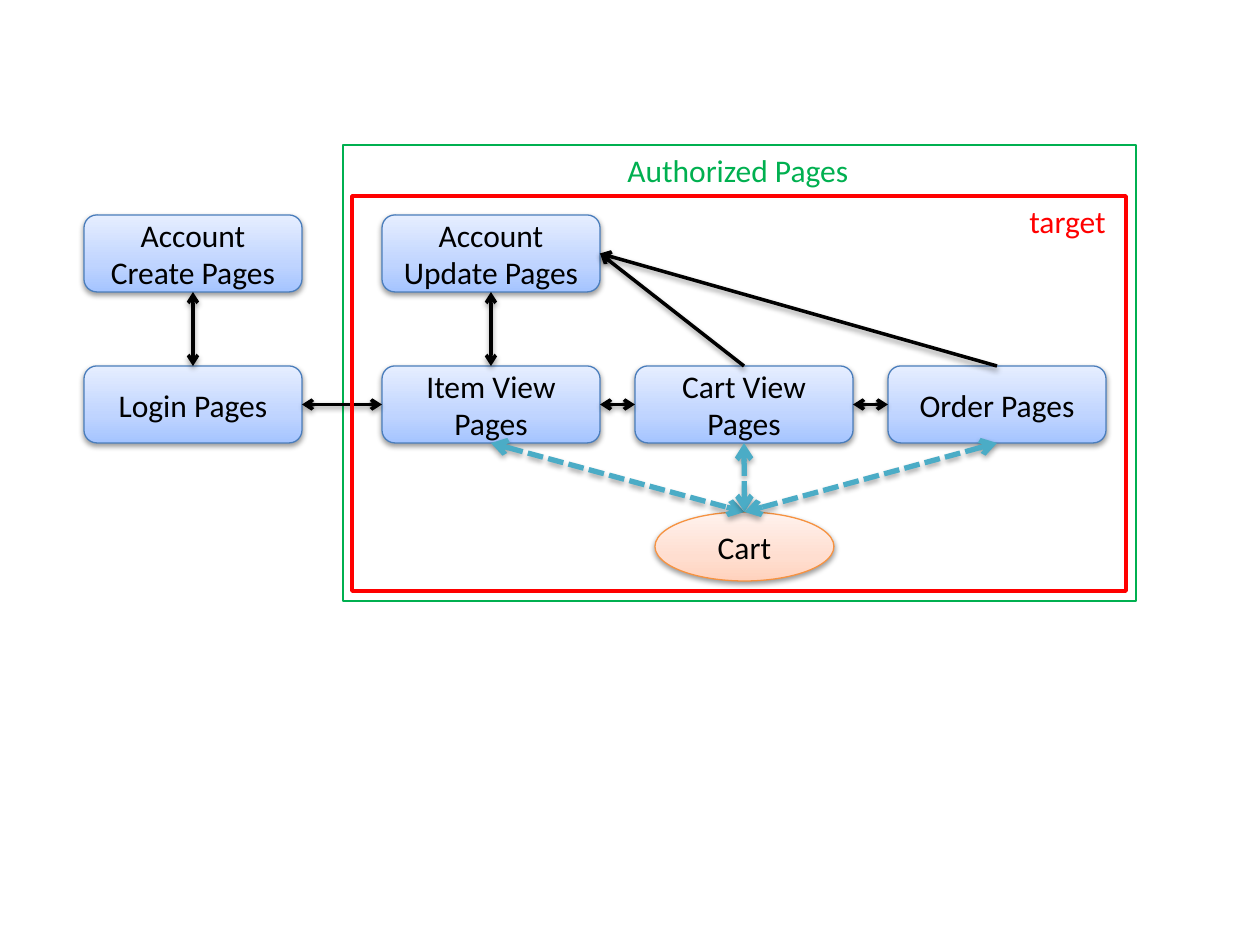
from copy import deepcopy

from pptx import Presentation
from pptx.dml.color import RGBColor
from pptx.enum.dml import MSO_LINE
from pptx.enum.shapes import MSO_CONNECTOR, MSO_SHAPE
from pptx.enum.text import MSO_ANCHOR, MSO_AUTO_SIZE, PP_ALIGN
from pptx.oxml.ns import qn
from pptx.util import Emu, Pt
from lxml.etree import SubElement

PIXELS_PER_INCH = 126
FONT = "Calibri"
BLACK = RGBColor(0x00, 0x00, 0x00)
GREEN = RGBColor(0x00, 0xB0, 0x50)
RED = RGBColor(0xFF, 0x00, 0x00)
TEAL = RGBColor(0x4B, 0xAC, 0xC6)
BLUE_LINE = RGBColor(0x4B, 0x7E, 0xBC)
BLUE_STOPS = [RGBColor(0xA4, 0xC4, 0xFF), RGBColor(0xBF, 0xD4, 0xFF), RGBColor(0xE6, 0xEE, 0xFF)]
ORANGE_LINE = RGBColor(0xF6, 0x92, 0x40)
ORANGE_STOPS = [RGBColor(0xFF, 0xD2, 0xBD), RGBColor(0xFF, 0xDE, 0xD0), RGBColor(0xFF, 0xF2, 0xED)]
STOP_POSITIONS = [0, 0.35, 1]

LOGIN_LEFT, ITEM_LEFT, COLUMN_STEP = 84, 382, 253
TOP_ROW, BOTTOM_ROW = 215, 366
PAGE_WIDTH, PAGE_HEIGHT = 218, 77
TOP, LEFT, BOTTOM, RIGHT = range(4)


def px(*lengths):
    """Turn pixel lengths into a list of EMU."""
    return [Emu(round(length * 914400 / PIXELS_PER_INCH)) for length in lengths]


def add_shadow(element, opacity, distance):
    """Give a shape or connector element a soft shadow below it."""
    properties = element.spPr
    effects = properties.find(qn("a:effectLst"))
    if effects is None:
        effects = SubElement(properties, qn("a:effectLst"))
    shadow = SubElement(effects, qn("a:outerShdw"), blurRad="40000", dist=str(distance),
                        dir="5400000", rotWithShape="0")
    color = SubElement(shadow, qn("a:srgbClr"), val=str(BLACK))
    SubElement(color, qn("a:alpha"), val=str(opacity * 1000))


def fill_gradient(shape, colors):
    """Fill a shape with a three-stop gradient that runs upwards."""
    shape.fill.gradient()
    shape.fill.gradient_angle = 90
    stop_list = shape._element.spPr.find(qn("a:gradFill")).find(qn("a:gsLst"))
    stop_list.append(deepcopy(stop_list[0]))
    for stop, color, position in zip(shape.fill.gradient_stops, colors, STOP_POSITIONS):
        stop.color.rgb = color
        stop.position = position


def format_text(text_frame, text, color):
    """Write one line of text in the slide's font."""
    text_frame.text = text
    font = text_frame.paragraphs[0].runs[0].font
    font.name, font.size = FONT, Pt(18)
    font.color.rgb = color


def add_node(slide, kind, box, text, stops, line_color):
    """Add a shaded shape with centred text."""
    shape = slide.shapes.add_shape(kind, *px(*box))
    shape.shadow.inherit = False
    fill_gradient(shape, stops)
    shape.line.color.rgb = line_color
    shape.line.width = Pt(0.75)
    add_shadow(shape._element, 38, 20000)
    text_frame = shape.text_frame
    format_text(text_frame, text, BLACK)
    text_frame.word_wrap = True
    text_frame.vertical_anchor = MSO_ANCHOR.MIDDLE
    text_frame.paragraphs[0].alignment = PP_ALIGN.CENTER
    return shape


def add_page(slide, left, top, text):
    """Add a page box."""
    return add_node(slide, MSO_SHAPE.ROUNDED_RECTANGLE, (left, top, PAGE_WIDTH, PAGE_HEIGHT),
                    text, BLUE_STOPS, BLUE_LINE)


def add_frame(slide, box, color, width):
    """Add an unfilled outline."""
    frame = slide.shapes.add_shape(MSO_SHAPE.RECTANGLE, *px(*box))
    frame.shadow.inherit = False
    frame.fill.background()
    frame.line.color.rgb = color
    frame.line.width = Pt(width)


def add_label(slide, box, text, color):
    """Add an unwrapped frame label."""
    text_frame = slide.shapes.add_textbox(*px(*box)).text_frame
    format_text(text_frame, text, color)
    text_frame.word_wrap = False
    text_frame.auto_size = MSO_AUTO_SIZE.SHAPE_TO_FIT_TEXT


def add_arrow(slide, start, start_site, end, end_site, both=True, data_flow=False):
    """Join two shapes by a page arrow or a dashed data arrow."""
    connector = slide.shapes.add_connector(MSO_CONNECTOR.STRAIGHT, 0, 0, 0, 0)
    connector.begin_connect(start, start_site)
    connector.end_connect(end, end_site)
    line = connector.line
    line.color.rgb = TEAL if data_flow else BLACK
    line.width = Pt(3 if data_flow else 2)
    if data_flow:
        line.dash_style = MSO_LINE.SQUARE_DOT
    outline = connector._element.spPr.find(qn("a:ln"))
    for end_name in ("headEnd", "tailEnd") if both else ("tailEnd",):
        SubElement(outline, qn(f"a:{end_name}"), type="arrow")
    add_shadow(connector._element, *((35, 23000) if data_flow else (38, 20000)))


def main():
    """Build the page flow slide."""
    presentation = Presentation()
    presentation.slide_width, presentation.slide_height = px(1260, 945)
    slide = presentation.slides.add_slide(presentation.slide_layouts[6])

    add_frame(slide, (343, 145, 793, 456), GREEN, 0.75)
    login = add_page(slide, LOGIN_LEFT, BOTTOM_ROW, "Login Pages")
    create = add_page(slide, LOGIN_LEFT, TOP_ROW, "Account Create Pages")
    update = add_page(slide, ITEM_LEFT, TOP_ROW, "Account Update Pages")
    item, cart_view, order = [
        add_page(slide, ITEM_LEFT + column * COLUMN_STEP, BOTTOM_ROW, text)
        for column, text in enumerate(["Item View Pages", "Cart View Pages", "Order Pages"])
    ]
    cart = add_node(slide, MSO_SHAPE.OVAL, (655, 512, 179, 69), "Cart", ORANGE_STOPS, ORANGE_LINE)

    for upper, lower in [(create, login), (update, item)]:
        add_arrow(slide, upper, BOTTOM, lower, TOP)
    for right, left in [(item, login), (cart_view, item), (order, cart_view)]:
        add_arrow(slide, right, LEFT, left, RIGHT)
    for page in (cart_view, order):
        add_arrow(slide, page, TOP, update, RIGHT, both=False)
    add_label(slide, (615, 145, 249, 51), "Authorized Pages", GREEN)
    for page in (item, cart_view, order):
        add_arrow(slide, page, BOTTOM, cart, TOP, data_flow=True)

    add_frame(slide, (352, 196, 774, 395), RED, 2)
    add_label(slide, (1017, 196, 102, 51), "target", RED)
    presentation.save("out.pptx")


main()
